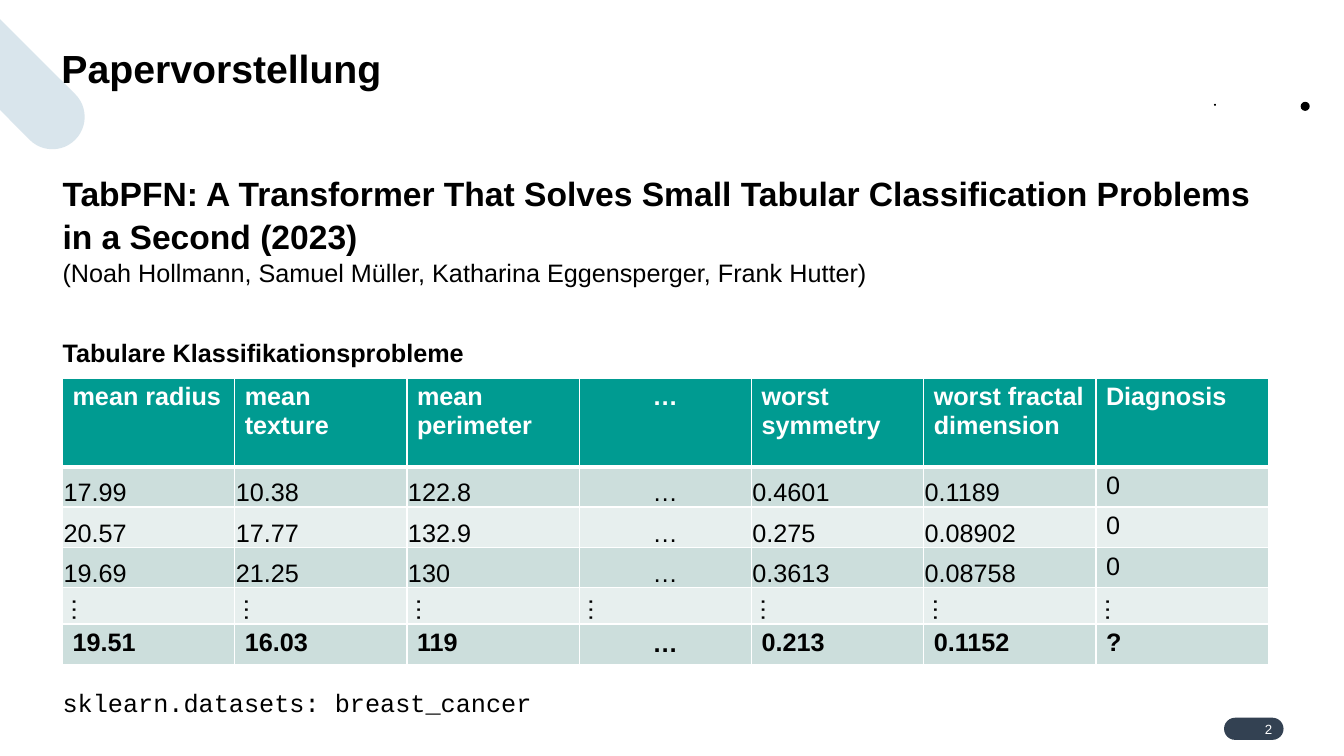
"""Build the slide that presents a paper on tabular classification."""
import math
import pptx
import pptx.util
import pptx.oxml
import pptx.oxml.ns
import pptx.dml.color
import pptx.enum.text
import pptx.enum.shapes

Inches, Pt = pptx.util.Inches, pptx.util.Pt
Align, Anchor = pptx.enum.text.PP_ALIGN, pptx.enum.text.MSO_ANCHOR
Shape = pptx.enum.shapes.MSO_SHAPE

TITLE = "Papervorstellung"
PAGE = "2"
PAPER = "TabPFN: A Transformer That Solves Small Tabular Classification Problems in a Second (2023)"
AUTHORS = "(Noah Hollmann, Samuel Müller, Katharina Eggensperger, Frank Hutter)"
TOPIC = "Tabulare Klassifikationsprobleme"
SOURCE = "sklearn.datasets: breast_cancer"
ROWS = [
    ["mean radius", "mean texture", "mean perimeter", "…", "worst symmetry",
     "worst fractal dimension", "Diagnosis"],
    ["17.99", "10.38", "122.8", "…", "0.4601", "0.1189", "0"],
    ["20.57", "17.77", "132.9", "…", "0.275", "0.08902", "0"],
    ["19.69", "21.25", "130", "…", "0.3613", "0.08758", "0"],
    ["…"] * 7,
    ["19.51", "16.03", "119", "…", "0.213", "0.1152", "?"],
]
HEIGHTS = [0.88, 0.38, 0.36, 0.36, 0.36, 0.36]
DOTS = [(12.04, 1.03, 0.02), (12.94, 1.03, 0.02), (12.9, 1.01, 0.09)]
HEAD, GAP, LAST = 0, 4, 5
MID, END = 3, 6


class Theme:
    """Colours, fonts and type sizes."""
    black, white = "000000", "FFFFFF"
    pale, slate = "D9E5EC", "334152"
    teal, dark, light = "009B91", "CCDEDC", "E7EFEE"
    sans, mono = "Arial", "Courier New"
    title, paper, body, page = 28, 24, 18, 9.5


def paint(fill, tint):
    """Give a fill one solid colour."""
    fill.solid()
    fill.fore_color.rgb = pptx.dml.color.RGBColor.from_string(tint)


def plain(shape, tint):
    """Fill a shape and drop its line and shadow."""
    paint(shape.fill, tint)
    shape.line.fill.background()
    shape.shadow.inherit = False


def write(para, text, size=Theme.body, bold=False, tint=Theme.black, face=Theme.sans):
    """Add one run to a paragraph."""
    run = para.add_run()
    run.text = text
    run.font.size, run.font.bold, run.font.name = Pt(size), bold, face
    paint(run.font.fill, tint)


def inset(part, left=0, top=0, right=0, low=0):
    """Set the margins of a frame or cell."""
    part.margin_left, part.margin_top = Inches(left), Inches(top)
    part.margin_right, part.margin_bottom = Inches(right), Inches(low)


def box(slide, *place):
    """Add a wrapping text box without margins."""
    frame = slide.shapes.add_textbox(*map(Inches, place)).text_frame
    frame.word_wrap = True
    inset(frame)
    return frame


def edge(cell, sides):
    """Draw white cell borders from a map of side to width."""
    props = cell._tc.get_or_add_tcPr()
    for side, width in sides.items():
        props.append(pptx.oxml.parse_xml(
            f'<a:{side} {pptx.oxml.ns.nsdecls("a")} w="{Pt(width)}"><a:solidFill>'
            f'<a:srgbClr val="{Theme.white}"/></a:solidFill></a:{side}>'))


def decor(slide):
    """Draw the corner bar and the dots."""
    x, y, rad, steps = 0.52, 1.16, 0.32, 24
    turns = [math.radians(135 - 180 * i / steps) for i in range(steps + 1)]
    cap = [(x + rad * math.cos(t), y + rad * math.sin(t)) for t in turns]
    pen = slide.shapes.build_freeform(0, Inches(0.19), 1.0)
    pen.add_line_segments([(Inches(a), Inches(b)) for a, b in [(0, 1.09)] + cap])
    plain(pen.convert_to_shape(), Theme.pale)
    for left, top, size in DOTS:
        place = map(Inches, (left, top, size, size))
        plain(slide.shapes.add_shape(Shape.OVAL, *place), Theme.black)


def words(slide):
    """Place the title, the page mark and the body text."""
    write(box(slide, 0.61, 0.44, 12.12, 0.47).paragraphs[0], TITLE, Theme.title, True)
    pill = slide.shapes.add_shape(Shape.ROUNDED_RECTANGLE, *map(Inches, (12.14, 7.12, 0.59, 0.22)))
    pill.adjustments[0] = 0.5
    plain(pill, Theme.slate)
    frame = pill.text_frame
    inset(frame, right=0.08)
    frame.vertical_anchor = Anchor.MIDDLE
    frame.paragraphs[0].alignment = Align.RIGHT
    write(frame.paragraphs[0], PAGE, Theme.page, tint=Theme.white)

    body = box(slide, 0.62, 1.7, 12.11, 5.51)
    paper, topic, source = body.paragraphs[0], body.add_paragraph(), body.add_paragraph()
    for para, space in ((paper, 6), (topic, 34), (source, 228)):
        para.space_before, para.line_spacing = Pt(space), 1.05
    write(paper, PAPER, Theme.paper, True)
    paper.add_line_break()
    write(paper, AUTHORS)
    write(topic, TOPIC, bold=True)
    write(source, SOURCE, face=Theme.mono)


def grid(slide):
    """Build the table of samples."""
    count = len(ROWS[0])
    place = map(Inches, (0.62, 3.75, 11.96, sum(HEIGHTS)))
    table = slide.shapes.add_table(len(ROWS), count, *place).table
    for col in table.columns:
        col.width = Inches(11.96 / count)
    for r, row in enumerate(ROWS):
        table.rows[r].height = Inches(HEIGHTS[r])
        for c, text in enumerate(row):
            cell = table.cell(r, c)
            edge(cell, {"lnL": 1, "lnR": 1, "lnT": 3 if r == HEAD + 1 else 1,
                        "lnB": 3 if r == HEAD else 1})
            tint = Theme.teal if r == HEAD else Theme.dark if r % 2 else Theme.light
            paint(cell.fill, tint)
            para = cell.text_frame.paragraphs[0]
            write(para, text, bold=r in (HEAD, LAST),
                  tint=Theme.white if r == HEAD else Theme.black)
            if r == GAP:
                cell._tc.get_or_add_tcPr().set("vert", "vert")
                cell.vertical_anchor = Anchor.MIDDLE if c == MID else Anchor.BOTTOM
            elif c == MID:
                para.alignment = Align.CENTER
            if HEAD < r < GAP and c != END:
                inset(cell, 0.01, 0.01, 0.01)
                cell.vertical_anchor = Anchor.BOTTOM
            if r == LAST and c == MID:
                cell.vertical_anchor = Anchor.MIDDLE


def main():
    """Make the deck and save it."""
    deck = pptx.Presentation()
    deck.slide_width, deck.slide_height = Inches(13.33), Inches(7.5)
    slide = deck.slides.add_slide(deck.slide_layouts[6])
    decor(slide)
    words(slide)
    grid(slide)
    deck.save("out.pptx")


if __name__ == "__main__":
    main()
